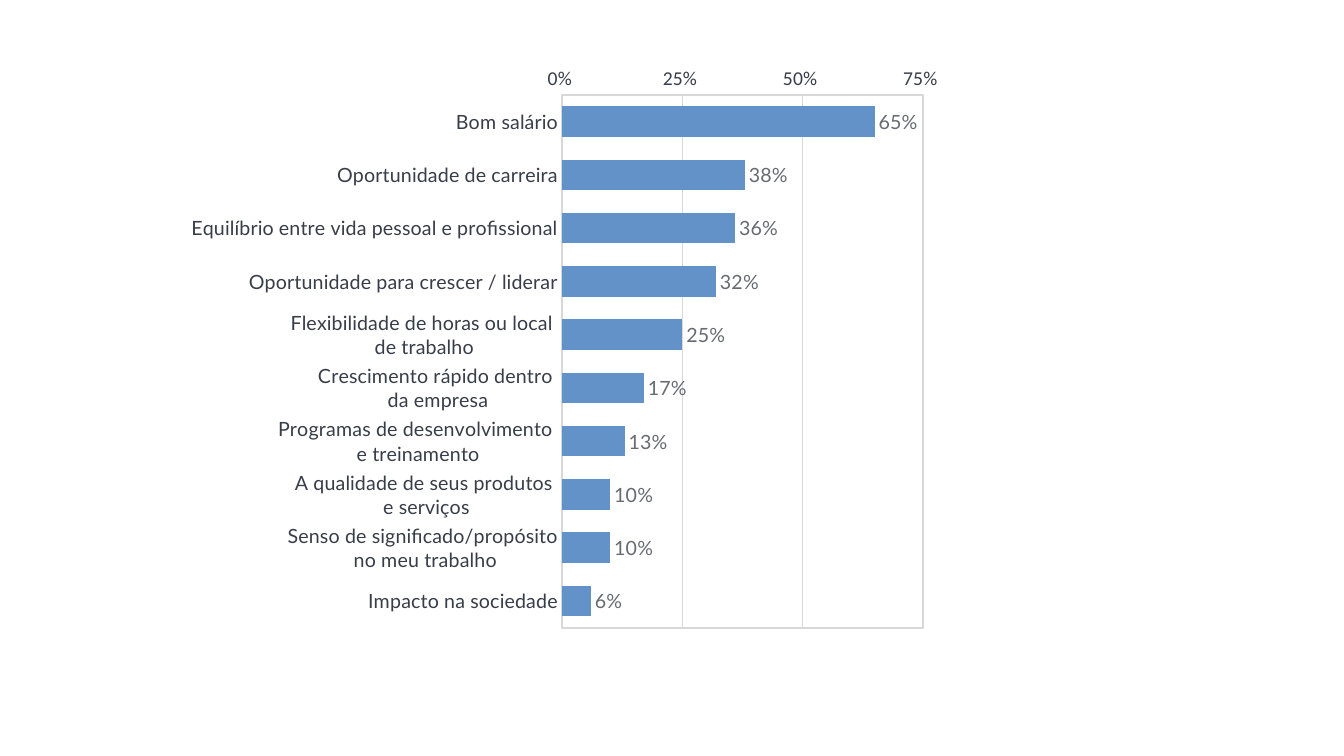
"""Build a slide with a bar chart of what people look for in a job."""
from typing import NamedTuple

from pptx import Presentation
from pptx.chart.data import CategoryChartData
from pptx.dml.color import RGBColor
from pptx.enum.chart import (
    XL_AXIS_CROSSES as Crosses,
    XL_CHART_TYPE as ChartType,
    XL_LABEL_POSITION as LabelPosition,
    XL_TICK_MARK as TickMark,
)
from pptx.oxml import parse_xml
from pptx.oxml.ns import nsdecls
from pptx.util import Inches, Pt

WIDTH, HEIGHT = Inches(13.33), Inches(7.5)
BAR_BLUE = RGBColor(0x63, 0x92, 0xC8)
AXIS_INK = RGBColor(0x37, 0x3D, 0x49)
LABEL_GREY = RGBColor(0x67, 0x6A, 0x72)
GRID_GREY = RGBColor(0xD8, 0xD8, 0xD8)
TEXT_SIZE = Pt(14)


class Reason(NamedTuple):
    """One reason for choosing a job, with its share of answers."""
    label: str
    share: float


class Area(NamedTuple):
    """A rectangle given as shares of its container."""
    x: float
    y: float
    w: float
    h: float


REASONS = [
    Reason("Bom salário", 0.65),
    Reason("Oportunidade de carreira", 0.38),
    Reason("Equilíbrio entre vida pessoal e profissional", 0.36),
    Reason("Oportunidade para crescer / liderar", 0.32),
    Reason("Flexibilidade de horas ou local \nde trabalho", 0.25),
    Reason("Crescimento rápido dentro \nda empresa", 0.17),
    Reason("Programas de desenvolvimento \ne treinamento", 0.13),
    Reason("A qualidade de seus produtos \ne serviços", 0.10),
    Reason("Senso de significado/propósito\n no meu trabalho", 0.10),
    Reason("Impacto na sociedade", 0.06),
]
CHART_AREA = Area(0.028, 0.069, 0.735, 0.845)
PLOT_AREA = Area(0.531, 0.067, 0.365, 0.834)


def style_font(font, name: str, color: RGBColor) -> None:
    """Give chart text its typeface, size and colour."""
    font.name, font.size = name, TEXT_SIZE
    font.color.rgb = color


def style_axis(axis, font_name: str) -> None:
    """Hide the axis line and ticks and style its labels."""
    axis.major_tick_mark = axis.minor_tick_mark = TickMark.NONE
    axis.format.line.fill.background()
    style_font(axis.tick_labels.font, font_name, AXIS_INK)


def frame_plot(chart, area: Area) -> None:
    """Fix the inner plot rectangle and outline it."""
    plot_area = chart._chartSpace.chart.plotArea
    for layout in plot_area.xpath("c:layout"):
        plot_area.remove(layout)
    modes = "".join(f'<c:{side}Mode val="edge"/>' for side in "xy")
    sizes = "".join(f'<c:{side} val="{share}"/>' for side, share in area._asdict().items())
    plot_area.insert(0, parse_xml(
        f'<c:layout {nsdecls("c")}><c:manualLayout><c:layoutTarget val="inner"/>'
        f"{modes}{sizes}</c:manualLayout></c:layout>"))
    plot_area.append(parse_xml(
        f'<c:spPr {nsdecls("c", "a")}><a:noFill/><a:ln w="{Pt(1.5)}"><a:solidFill>'
        f'<a:srgbClr val="{GRID_GREY}"/></a:solidFill></a:ln></c:spPr>'))


def add_reasons_chart(page, reasons: list[Reason], area: Area) -> None:
    """Draw the reasons as horizontal bars, the first one on top."""
    data = CategoryChartData(number_format="0%")
    data.categories = [reason.label for reason in reasons]
    data.add_series("Series 1", [reason.share for reason in reasons])
    chart = page.shapes.add_chart(
        ChartType.BAR_CLUSTERED, int(area.x * WIDTH), int(area.y * HEIGHT),
        int(area.w * WIDTH), int(area.h * HEIGHT), data).chart
    chart.has_legend = chart.has_title = False
    style_font(chart.font, "Calibri", RGBColor(0, 0, 0))

    reason_axis, share_axis = chart.category_axis, chart.value_axis
    style_axis(reason_axis, "Lato")
    reason_axis.reverse_order = True
    reason_axis.crosses = Crosses.MAXIMUM
    style_axis(share_axis, "Calibri")
    share_axis.minimum_scale, share_axis.maximum_scale = 0, 0.75
    share_axis.major_unit = 0.25
    share_axis.tick_labels.number_format = r"#,##0%_);\(#,##0%\)"
    share_axis.tick_labels.number_format_is_linked = False
    grid_line = share_axis.major_gridlines.format.line
    grid_line.color.rgb, grid_line.width = GRID_GREY, Pt(1)

    plot = chart.plots[0]
    plot.gap_width, plot.vary_by_categories = 75, False
    bars = plot.series[0]
    bars.format.fill.solid()
    bars.format.fill.fore_color.rgb = BAR_BLUE
    labels = bars.data_labels
    labels.show_value, labels.position = True, LabelPosition.OUTSIDE_END
    labels.number_format, labels.number_format_is_linked = "0%", False
    style_font(labels.font, "Lato", LABEL_GREY)
    frame_plot(chart, PLOT_AREA)


def main() -> None:
    """Create the deck and save it."""
    deck = Presentation()
    deck.slide_width, deck.slide_height = WIDTH, HEIGHT
    page = deck.slides.add_slide(deck.slide_layouts.get_by_name("Blank"))
    add_reasons_chart(page, REASONS, CHART_AREA)
    deck.save("out.pptx")


main()
